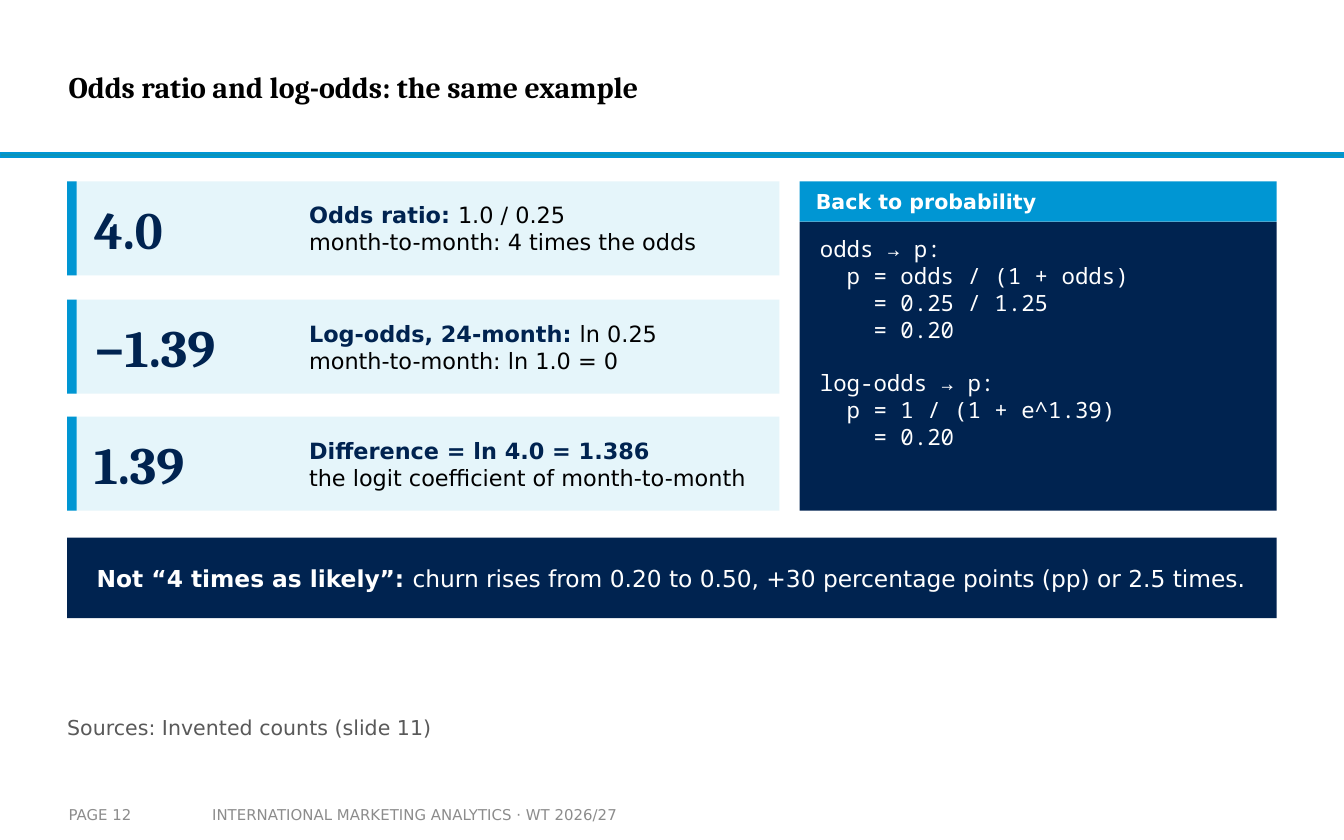
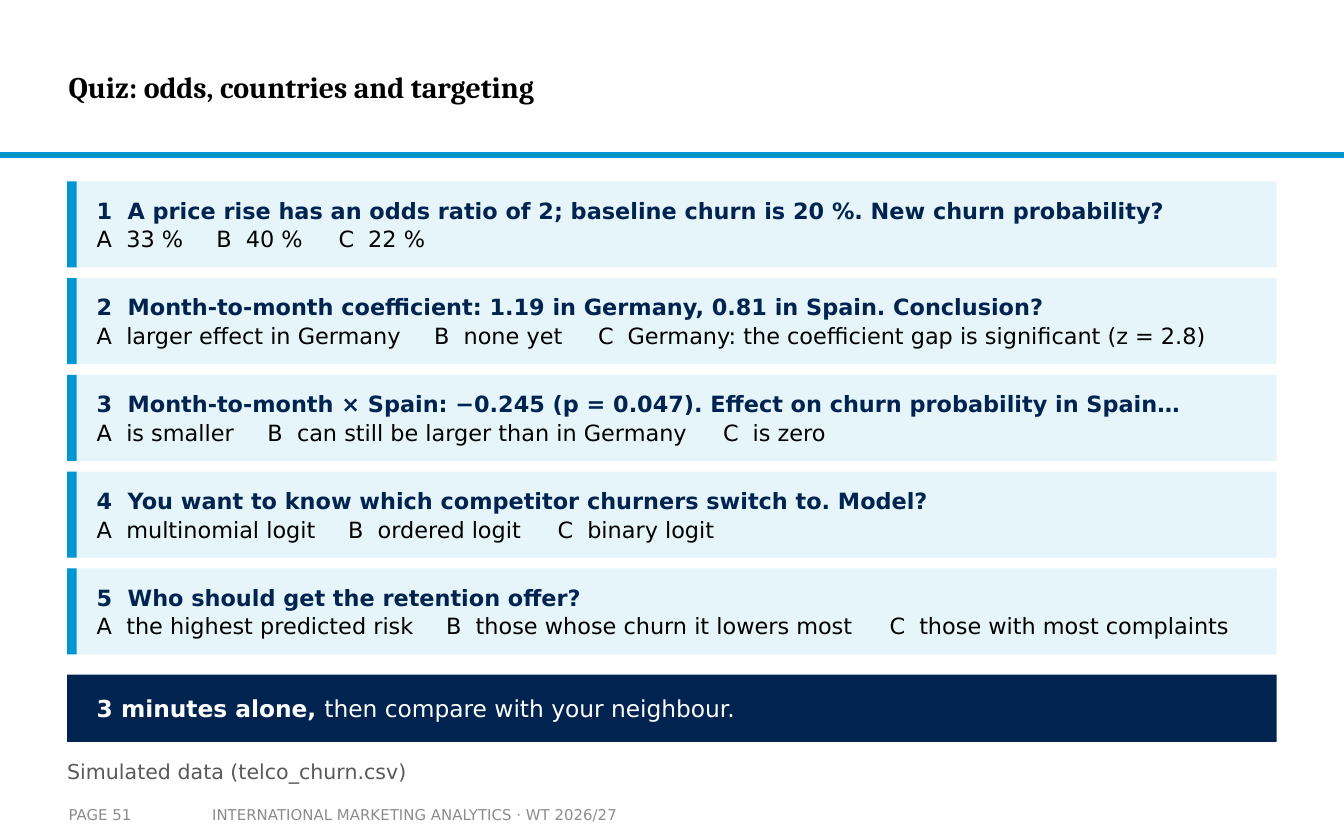
from lxml import etree
from pptx import Presentation
from pptx.dml.color import RGBColor
from pptx.enum.shapes import MSO_SHAPE
from pptx.enum.text import MSO_ANCHOR
from pptx.oxml.ns import qn
from pptx.util import Emu, Pt

RECT = MSO_SHAPE.RECTANGLE
TOP, MIDDLE = MSO_ANCHOR.TOP, MSO_ANCHOR.MIDDLE
SCALE = 9144
SERIF, SANS, MONO = "Cambria", "DejaVu Sans", "Noto Sans Mono"
NAVY, BLUE, TEAL, PALE = "002350", "0096D3", "0C94B7", "E5F5FA"
BLACK, WHITE, GREY, SOURCE_GREY = "000000", "FFFFFF", "8C8C8C", "595959"
COURSE = "INTERNATIONAL MARKETING ANALYTICS · WT 2026/27"
LEFT, CONTENT_TOP, CONTENT_WIDTH = 50, 135, 900
CHOICE_INDENT, NUMBER_INDENT = 22, 23

RESULTS = [
    ("4.0", "Odds ratio: ", "1.0 / 0.25", "month-to-month: 4 times the odds"),
    ("−1.39", "Log-odds, 24-month: ", "ln 0.25", "month-to-month: ln 1.0 = 0"),
    ("1.39", "Difference = ln 4.0 = 1.386", "", "the logit coefficient of month-to-month"),
]
CONVERSIONS = [
    ["odds → p:", "  p = odds / (1 + odds)", "    = 0.25 / 1.25", "    = 0.20"],
    ["log-odds → p:", "  p = 1 / (1 + e^1.39)", "    = 0.20"],
]
QUESTIONS = [
    ("A price rise has an odds ratio of 2; baseline churn is 20 %. New churn probability?",
     ["33 %", "40 %", "22 %"], (89, 180)),
    ("Month-to-month coefficient: 1.19 in Germany, 0.81 in Spain. Conclusion?",
     ["larger effect in Germany", "none yet",
      "Germany: the coefficient gap is significant (z = 2.8)"], (251, 373)),
    ("Month-to-month × Spain: −0.245 (p = 0.047). Effect on churn probability in Spain…",
     ["is smaller", "can still be larger than in Germany", "is zero"], (127, 466)),
    ("You want to know which competitor churners switch to. Model?",
     ["multinomial logit", "ordered logit", "binary logit"], (187, 343)),
    ("Who should get the retention offer?",
     ["the highest predicted risk", "those whose churn it lowers most",
      "those with most complaints"], (260, 590)),
]


def px(length):
    """Turn px into EMU."""
    return Emu(length * SCALE)


def colour(code):
    """Turn a hex string into a colour."""
    return RGBColor.from_string(code)


def add_block(slide, box, fill, outline=None):
    """Draw a filled rectangle, with a thin outline if one is given."""
    block = slide.shapes.add_shape(RECT, *map(px, box))
    block.shadow.inherit = False
    block.fill.solid()
    block.fill.fore_color.rgb = colour(fill)
    if outline:
        block.line.color.rgb = colour(outline)
        block.line.width = Pt(1)
    else:
        block.line.fill.background()


def add_tabs(paragraph, stops):
    """Set left tab stops on a paragraph."""
    tabs = etree.SubElement(paragraph._p.get_or_add_pPr(), qn("a:tabLst"))
    for stop in stops:
        etree.SubElement(tabs, qn("a:tab"), pos=str(px(stop)), algn="l")


def add_text(slide, box, lines, size, font=SANS, anchor=MIDDLE, inset=(0, 0), after=0, tabs=()):
    """Write lines, each a list of (text, colour, bold) runs, and return the paragraphs."""
    frame = slide.shapes.add_textbox(*map(px, box)).text_frame
    frame.word_wrap = True
    frame.vertical_anchor = anchor
    frame.margin_left = frame.margin_right = px(inset[0])
    frame.margin_top = frame.margin_bottom = px(inset[1])
    for index, runs in enumerate(lines):
        paragraph = frame.add_paragraph() if index else frame.paragraphs[0]
        if tabs:
            add_tabs(paragraph, tabs[index])
        paragraph.space_after = Pt(after)
        for text, code, bold in runs:
            run = paragraph.add_run()
            run.text = text
            run.font.name = font
            run.font.size = Pt(size)
            run.font.bold = bold
            run.font.color.rgb = colour(code)
    return frame.paragraphs


def add_page(deck, title, number):
    """Add a slide with its title, rule and footer."""
    slide = deck.slides.add_slide(deck.slide_layouts[6])
    add_block(slide, (0, 114, 1000, 3), TEAL, BLUE)
    add_text(slide, (51, 15, 748, 99), [[(title, BLACK, True)]], 16, SERIF)
    add_text(slide, (148, 592, 352, 28), [[(COURSE, GREY, False)]], 8, inset=(10, 5))
    add_text(slide, (51, 592, 98, 28), [[(f"PAGE {number}", GREY, False)]], 8, inset=(0, 5))
    return slide


def add_card(slide, box):
    """Draw a pale card with an accent along its left edge."""
    left, top, _, height = box
    add_block(slide, box, PALE)
    add_block(slide, (left, top, 7, height), BLUE)


def add_result(slide, box, result):
    """Show a key figure beside its explanation."""
    left, top, width, height = box
    figure, label, formula, reading = result
    add_card(slide, box)
    add_text(slide, (left + 20, top, 160, height), [[(figure, NAVY, True)]], 28, SERIF, after=4)
    heading = [(label, NAVY, True)]
    if formula:
        heading.append((formula, BLACK, False))
    add_text(slide, (left + 180, top, width - 190, height),
             [heading, [(reading, BLACK, False)]], 12)


def add_code_panel(slide, box, heading, groups):
    """Show groups of code lines under a heading band."""
    left, top, width, height = box
    band = 30
    add_block(slide, (left, top, width, band), BLUE)
    add_text(slide, (left + 12, top, width - 24, band), [[(heading, WHITE, True)]], 11, after=4)
    add_block(slide, (left, top + band, width, height - band), NAVY)
    lines = [[(line, WHITE, False)] for group in groups for line in group]
    code = add_text(slide, (left + 15, top + band + 10, width - 30, height - band - 20),
                    lines, 12, MONO, TOP)
    code[len(groups[0])].space_before = Pt(14)


def add_question(slide, box, number, question):
    """Show a numbered question above its lettered choices."""
    left, top, width, height = box
    wording, choices, starts = question
    add_card(slide, box)
    answers = "\t".join(f"{letter}\t{choice}" for letter, choice in zip("ABC", choices))
    stops = [CHOICE_INDENT]
    for start in starts:
        stops += [start, start + CHOICE_INDENT]
    add_text(slide, (left + 22, top, width - 30, height),
             [[(f"{number}\t{wording}", NAVY, True)], [(answers, BLACK, False)]],
             12, after=1, tabs=([NUMBER_INDENT], stops))


def add_takeaway(slide, top, height, lead, message):
    """Show the closing message on a dark band."""
    add_block(slide, (LEFT, top, CONTENT_WIDTH, height), NAVY)
    add_text(slide, (LEFT + 22, top, CONTENT_WIDTH - 44, height),
             [[(lead, WHITE, True), (message, WHITE, False)]], 12.5, after=4)


def add_source(slide, top, source):
    """Write the source line."""
    add_text(slide, (LEFT, top, CONTENT_WIDTH, 28), [[(source, SOURCE_GREY, False)]], 11)


def build_example(deck):
    """Build the odds ratio example."""
    slide = add_page(deck, "Odds ratio and log-odds: the same example", 12)
    height, card_height = 245, 70
    pitch = (height - card_height) / (len(RESULTS) - 1)
    for index, result in enumerate(RESULTS):
        top = CONTENT_TOP + round(index * pitch)
        add_result(slide, (LEFT, top, 530, card_height), result)
    add_code_panel(slide, (595, CONTENT_TOP, 355, height), "Back to probability", CONVERSIONS)
    add_takeaway(slide, 400, 60, "Not “4 times as likely”: ",
                 "churn rises from 0.20 to 0.50, +30 percentage points (pp) or 2.5 times.")
    add_source(slide, 527, "Sources: Invented counts (slide 11)")


def build_quiz(deck):
    """Build the quiz."""
    slide = add_page(deck, "Quiz: odds, countries and targeting", 51)
    height, gap = 64, 8
    for index, question in enumerate(QUESTIONS):
        top = CONTENT_TOP + index * (height + gap)
        add_question(slide, (LEFT, top, CONTENT_WIDTH, height), index + 1, question)
    add_takeaway(slide, 502, 50, "3 minutes alone, ", "then compare with your neighbour.")
    add_source(slide, 560, "Simulated data (telco_churn.csv)")


def main():
    """Build and save the deck."""
    deck = Presentation()
    deck.slide_width, deck.slide_height = px(1000), px(625)
    build_example(deck)
    build_quiz(deck)
    deck.save("out.pptx")


if __name__ == "__main__":
    main()
